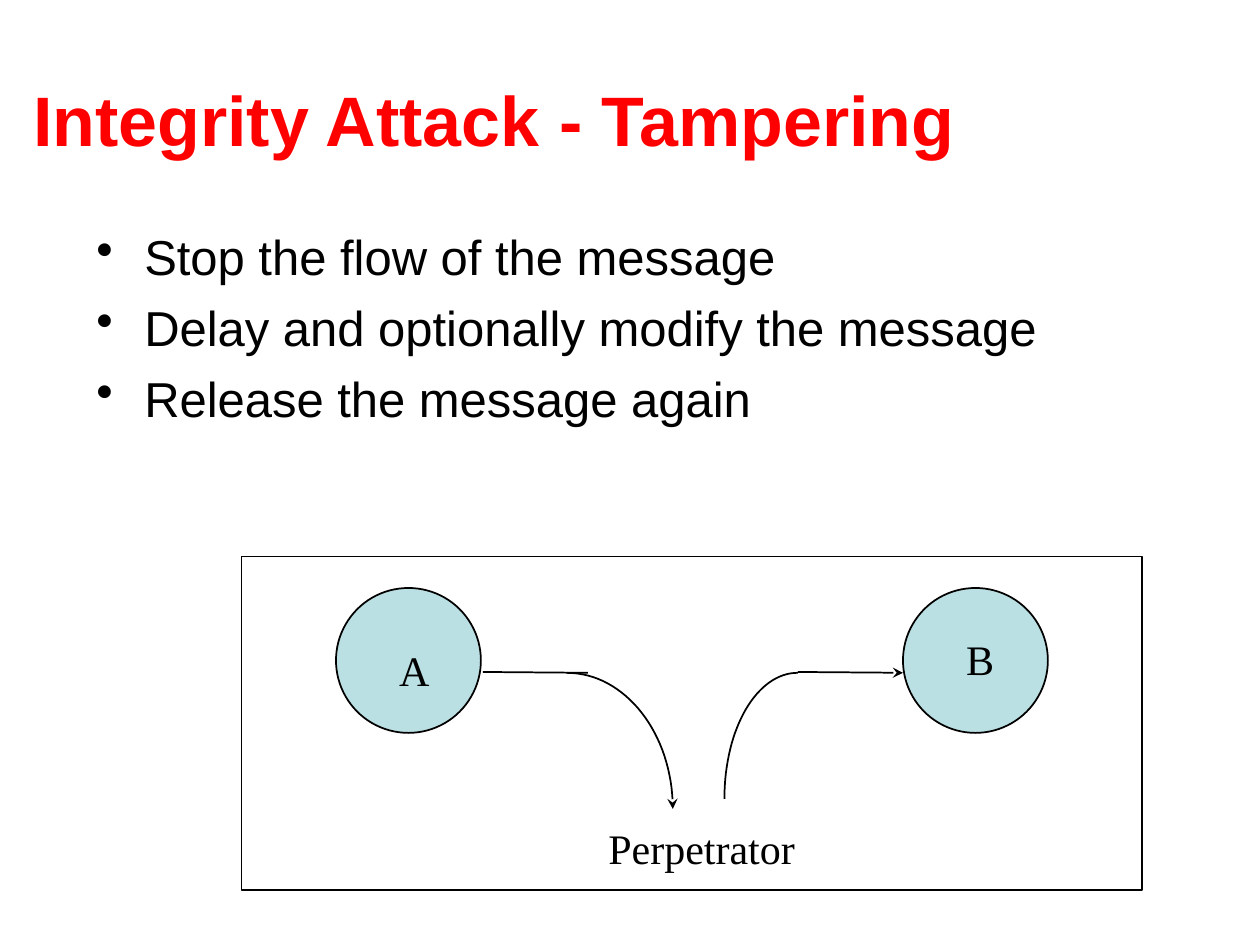
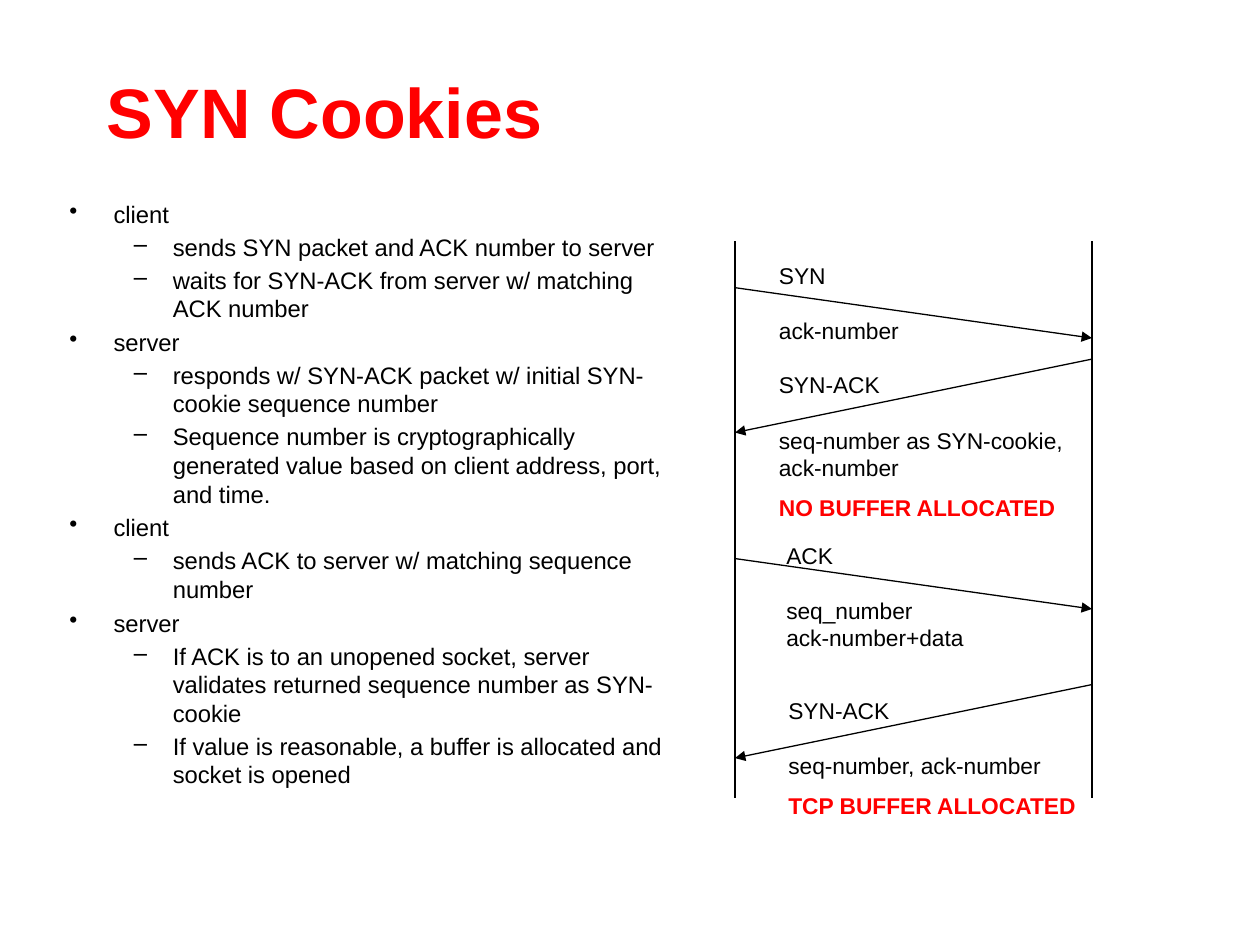
from lxml import etree
from pptx import Presentation
from pptx.dml.color import RGBColor
from pptx.enum.shapes import MSO_CONNECTOR, MSO_SHAPE
from pptx.enum.text import MSO_ANCHOR
from pptx.oxml.ns import qn
from pptx.util import Inches, Pt

STRAIGHT = MSO_CONNECTOR.STRAIGHT
RECTANGLE, OVAL = MSO_SHAPE.RECTANGLE, MSO_SHAPE.OVAL
MIDDLE, TOP = MSO_ANCHOR.MIDDLE, MSO_ANCHOR.TOP

COLORS = {"accent": "FF0000", "ink": "000000", "paper": "FFFFFF", "party": "BBE0E3"}
SANS, SERIF = "Arial", "Times New Roman"

# font, size, colour, bold, bullet, left margin, hanging indent, line spacing
STYLES = {
    "title": (SANS, 40, "accent", True, None, 0, 0, 1),
    "point": (SANS, 28, "ink", False, "•", 0.38, 0.38, 1),
    "role": (SANS, 13.6, "ink", False, "•", 0.47, 0.35, 1),
    "step": (SANS, 13.6, "ink", False, "–", 0.94, 0.31, 1),
    "party": (SERIF, 24, "ink", False, None, 0, 0, 1),
    "message": (SANS, 13, "ink", False, None, 0, 0, 0.93),
    "detail": (SANS, 13, "ink", False, None, 0, 0, 1),
    "outcome": (SANS, 13, "accent", True, None, 0, 0, 1),
}
GAPS = {"point": 7, "role": 3, "step": 2.5, "outcome": 7.2}

deck = Presentation()
deck.slide_width, deck.slide_height = Inches(10), Inches(7.5)
COLUMN, ROW = deck.slide_width / 120, deck.slide_height / 90
BLANK = deck.slide_layouts[6]


def write(slide, place, lines, anchor=TOP, wrap=True):
    left, top, width, height = place
    frame = slide.shapes.add_textbox(
        int(left * COLUMN), int(top * ROW), int(width * COLUMN), int(height * ROW)
    ).text_frame
    frame.word_wrap = wrap
    frame.vertical_anchor = anchor
    for index, (style, text) in enumerate(lines):
        font, size, color, bold, bullet, margin, hanging, spacing = STYLES[style]
        paragraph = frame.add_paragraph() if index else frame.paragraphs[0]
        paragraph.line_spacing = spacing
        after_message = index and lines[index - 1][0] == "message"
        gap = 15.6 if after_message else GAPS.get(style, 0)
        paragraph.space_before = Pt(gap if index else 0)
        if bullet:
            properties = paragraph._p.get_or_add_pPr()
            properties.set("marL", str(Inches(margin)))
            properties.set("indent", str(-Inches(hanging)))
            tint = etree.SubElement(properties, qn("a:buClr"))
            etree.SubElement(tint, qn("a:srgbClr"), val=COLORS[color])
            etree.SubElement(properties, qn("a:buChar"), char=bullet)
        run = paragraph.add_run()
        run.text = text
        run.font.name, run.font.size, run.font.bold = font, Pt(size), bold
        run.font.color.rgb = RGBColor.from_string(COLORS[color])


def outline(part, weight, head=None):
    part.line.color.rgb = RGBColor.from_string(COLORS["ink"])
    part.line.width = Pt(weight)
    properties = part._element.spPr
    if head:
        etree.SubElement(properties.find(qn("a:ln")), qn("a:tailEnd"), type=head)
    etree.SubElement(properties, qn("a:effectLst"))


tampering = deck.slides.add_slide(BLANK)
write(tampering, (2, 3.8, 115, 15), [("title", "Integrity Attack - Tampering")], MIDDLE)
write(tampering, (8, 21, 106, 24), [
    ("point", "Stop the flow of the message"),
    ("point", "Delay and optionally modify the message"),
    ("point", "Release the message again"),
])

for kind, left, top, width, height, fill in [
    (RECTANGLE, 23, 53, 85.8, 31.8, "paper"),
    (OVAL, 32, 56, 13.8, 13.8, "party"),
    (OVAL, 86, 56, 13.8, 13.8, "party"),
]:
    region = tampering.shapes.add_shape(
        kind, int(left * COLUMN), int(top * ROW), int(width * COLUMN), int(height * ROW)
    )
    region.fill.solid()
    region.fill.fore_color.rgb = RGBColor.from_string(COLORS[fill])
    outline(region, 1)

for start, head in [(46, None), (76, "stealth")]:
    passage = tampering.shapes.add_connector(
        STRAIGHT, int(start * COLUMN), int(64 * ROW),
        int((start + 10) * COLUMN), int(64.08 * ROW)
    )
    outline(passage, 1, head)

CURVE_STEPS = 32
for controls, head in [
    ([(54, 64.08), (59.5, 64.08), (64.08, 69.84), (64.08, 77.04)], "stealth"),
    ([(69, 76.08), (69, 69.36), (72.1, 64.08), (76, 64.08)], None),
]:
    bend = []
    for step in range(CURVE_STEPS + 1):
        t = step / CURVE_STEPS
        weights = ((1 - t) ** 3, 3 * t * (1 - t) ** 2, 3 * t * t * (1 - t), t ** 3)
        x = sum(weight * point[0] for weight, point in zip(weights, controls))
        y = sum(weight * point[1] for weight, point in zip(weights, controls))
        bend.append((int(x * COLUMN), int(y * ROW)))
    builder = tampering.shapes.build_freeform(*bend[0])
    builder.add_line_segments(bend[1:], close=False)
    detour = builder.convert_to_shape()
    detour.fill.background()
    outline(detour, 1, head)

for name, place in [
    ("A", (36.84, 60.84, 5.28, 6)),
    ("B", (90.84, 59.76, 5.04, 6)),
    ("Perpetrator", (56.76, 77.76, 20.16, 6)),
]:
    write(tampering, place, [("party", name)], wrap=False)

cookies = deck.slides.add_slide(BLANK)
write(cookies, (9, 3, 102, 15), [("title", "SYN Cookies")], MIDDLE)
write(cookies, (4, 18.4, 60.3, 62.6), [
    ("role", "client"),
    ("step", "sends SYN packet and ACK number to server"),
    ("step", "waits for SYN-ACK from server w/ matching ACK number"),
    ("role", "server"),
    ("step", "responds w/ SYN-ACK packet w/ initial SYN-cookie sequence number"),
    ("step", "Sequence number is cryptographically generated value based on "
             "client address, port, and time."),
    ("role", "client"),
    ("step", "sends ACK to server w/ matching sequence number"),
    ("role", "server"),
    ("step", "If ACK is to an unopened socket, server validates returned "
             "sequence number as SYN-cookie"),
    ("step", "If value is reasonable, a buffer is allocated and socket is opened"),
])

CLIENT, SERVER = 70, 104
for start, top, end, bottom, head in [
    (CLIENT, 23, CLIENT, 76, None),
    (SERVER, 23, SERVER, 76, None),
    (CLIENT, 27.4, SERVER, 32.2, "triangle"),
    (SERVER, 34.2, CLIENT, 41.2, "triangle"),
    (CLIENT, 53.2, SERVER, 58, "triangle"),
    (SERVER, 65.2, CLIENT, 72.2, "triangle"),
]:
    exchange = cookies.shapes.add_connector(
        STRAIGHT, int(start * COLUMN), int(top * ROW), int(end * COLUMN), int(bottom * ROW)
    )
    outline(exchange, 0.75, head)

for place, lines in [
    ((73, 24.6, 15, 8.8), [("message", "SYN"), ("detail", "ack-number")]),
    ((73, 35, 31, 15.1), [
        ("message", "SYN-ACK"),
        ("detail", "seq-number as SYN-cookie,"),
        ("detail", "ack-number"),
        ("outcome", "NO BUFFER ALLOCATED"),
    ]),
    ((73.7, 51.2, 23.2, 11.4), [
        ("message", "ACK"),
        ("detail", "seq_number"),
        ("detail", "ack-number+data"),
    ]),
    ((73.9, 66, 31.1, 12.6), [
        ("message", "SYN-ACK"),
        ("detail", "seq-number, ack-number"),
        ("outcome", "TCP BUFFER ALLOCATED"),
    ]),
]:
    write(cookies, place, lines)

deck.save("out.pptx")
